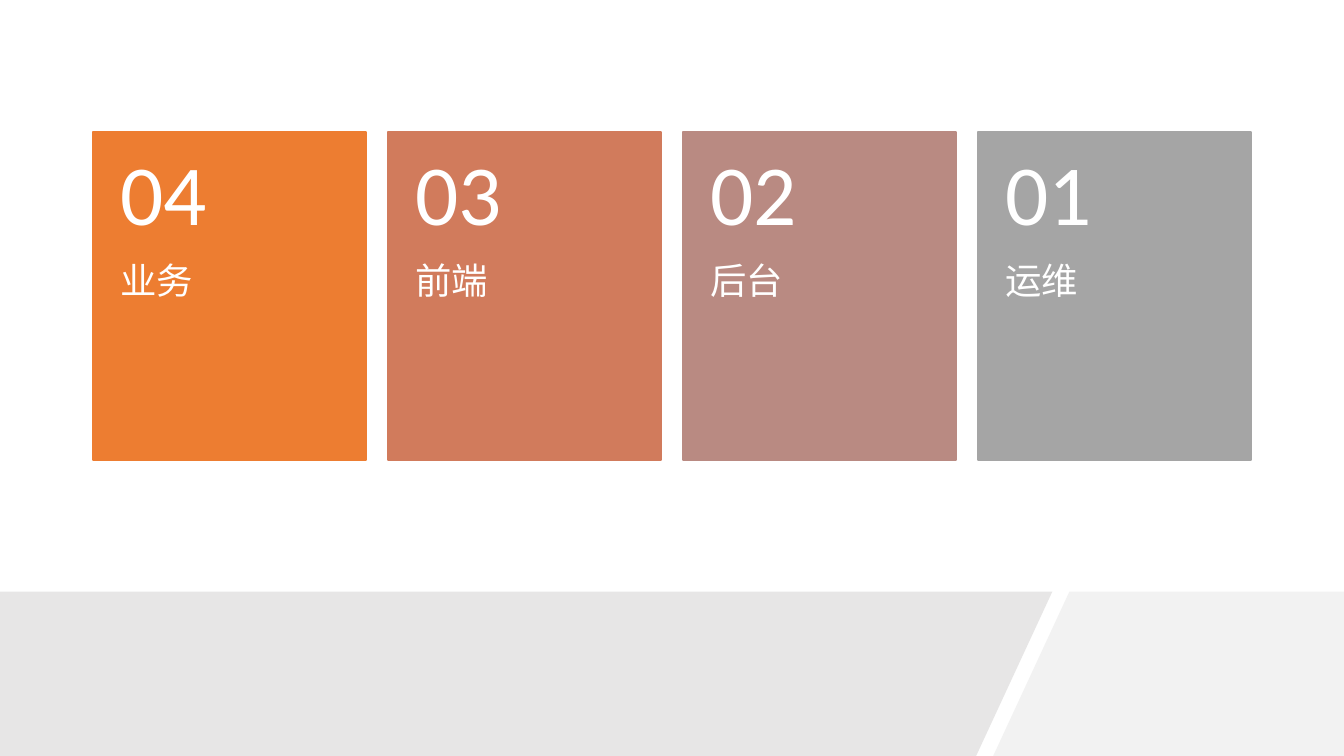
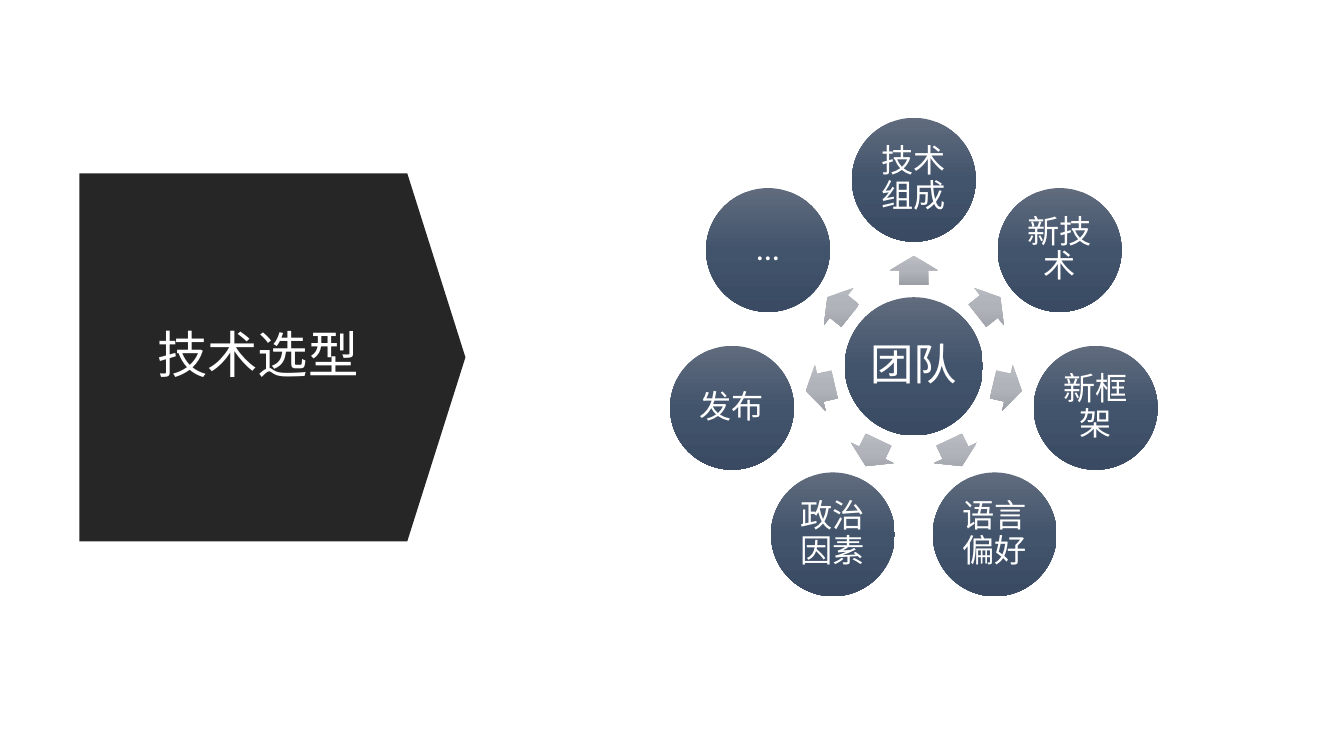
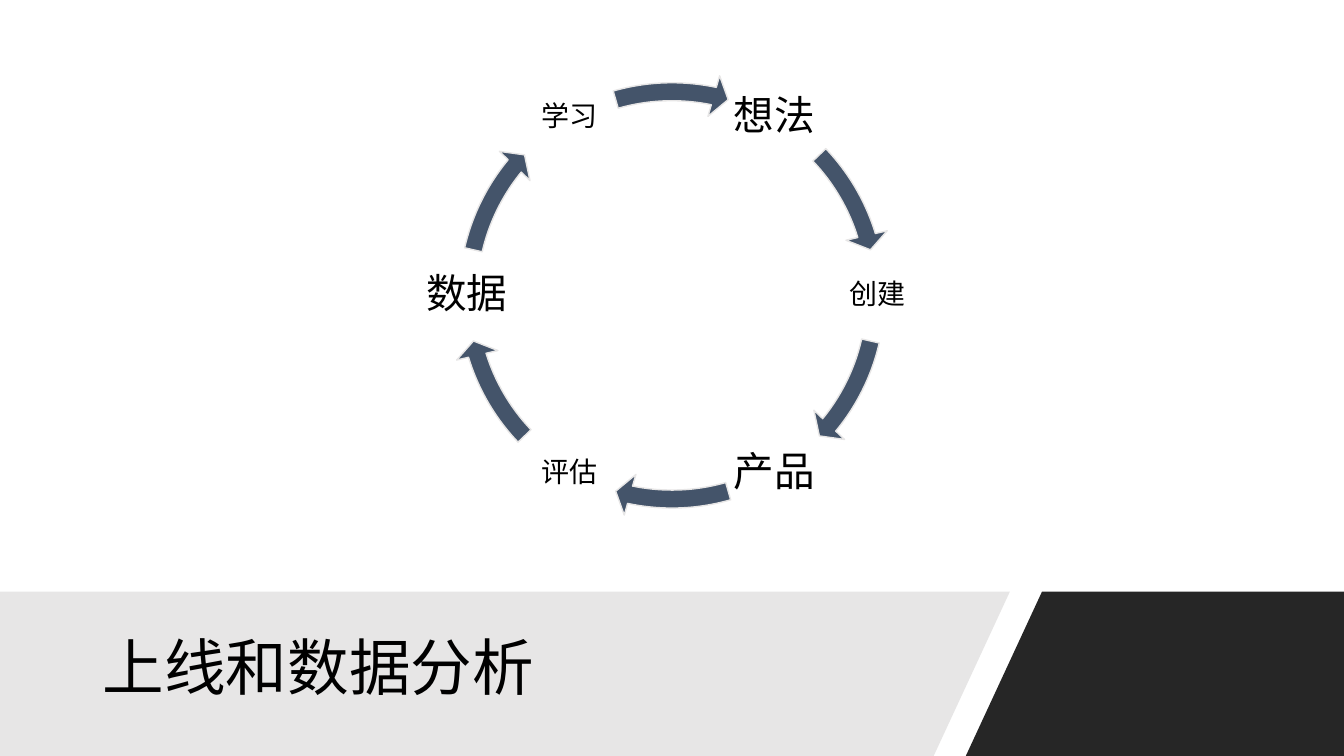
"""Build three slides on team roles, tech choice and the data cycle."""
from math import cos, radians, sin

from pptx import Presentation
from pptx.dml.color import RGBColor
from pptx.enum.shapes import MSO_SHAPE
from pptx.enum.text import MSO_ANCHOR, PP_ALIGN
from pptx.oxml import parse_xml
from pptx.oxml.ns import nsdecls
from pptx.util import Cm, Pt

RECT, OVAL = MSO_SHAPE.RECTANGLE, MSO_SHAPE.OVAL
ARROW, CURVE, PLATE = MSO_SHAPE.RIGHT_ARROW, MSO_SHAPE.CIRCULAR_ARROW, MSO_SHAPE.PENTAGON
LEFT, MID = PP_ALIGN.LEFT, PP_ALIGN.CENTER
TOP, CENTER = MSO_ANCHOR.TOP, MSO_ANCHOR.MIDDLE

FONT = "Calibri"
WIDE, HIGH = 33.87, 19.05
BAND_TOP, SLANT = 14.91, 1.92
INSET = (0.25, 0.13, 0.25, 0.13)
COLORS = {
    "white": "FFFFFF", "black": "000000", "dark": "262626",
    "band": "E7E6E6", "pale": "F2F2F2", "slate": "44546A",
    "orange": "ED7D31", "clay": "D17B5C", "rose": "B98A82", "gray": "A5A5A5",
}
FADES = {
    "disc": ("606B7D", "42546C", "394A62"),
    "arrow": ("BABDC2", "B0B3BA", "9C9FA6"),
}
CARDS = [("04", "业务", "orange"), ("03", "前端", "clay"),
         ("02", "后台", "rose"), ("01", "运维", "gray")]
TOPICS = ["技术组成", "新技术", "新框架", "语言偏好", "政治因素", "发布", "..."]
STEPS = [("想法", 29), ("创建", 20), ("产品", 29),
         ("评估", 20), ("数据", 29), ("学习", 20)]
ARCS = [(316.37, 342.9), (12.93, 39.46), (73.97, 101.86)]


def color(name):
    """Return the named colour."""
    return RGBColor.from_string(COLORS[name])


def lengths(box):
    """Turn centimetres into slide lengths."""
    return [Cm(n) for n in box]


def square(x, y, size):
    """Return the square box around a centre."""
    return x - size / 2, y - size / 2, size, size


def orbit(x, y, radius, angle):
    """Return the point on a circle, clockwise from the right."""
    turn = radians(angle)
    return x + radius * cos(turn), y + radius * sin(turn)


def write(shape, text, size, tone, align=MID, anchor=CENTER, inset=INSET):
    """Set one line of text in a shape."""
    frame = shape.text_frame
    frame.word_wrap = True
    frame.vertical_anchor = anchor
    (frame.margin_left, frame.margin_top,
     frame.margin_right, frame.margin_bottom) = lengths(inset)
    para = frame.paragraphs[0]
    para.alignment = align
    para.line_spacing = 0.9
    run = para.add_run()
    run.text = text
    run.font.name = FONT
    run.font.size = Pt(size)
    run.font.color.rgb = color(tone)


def label(slide, box, *args, **style):
    """Add a text box."""
    write(slide.shapes.add_textbox(*lengths(box)), *args, **style)


def paint(shape, fill, line=None):
    """Give a shape a flat fill and an optional outline."""
    shape.shadow.inherit = False
    shape.fill.solid()
    shape.fill.fore_color.rgb = color(fill)
    if line:
        shape.line.color.rgb = color(line)
        shape.line.width = Pt(1)
    else:
        shape.line.fill.background()


def fade(shape, name):
    """Give a shape a fill that runs from top to bottom."""
    shape.shadow.inherit = False
    shape.line.fill.background()
    stops = "".join(
        f'<a:gs pos="{i * 50000}"><a:srgbClr val="{tone}"/></a:gs>'
        for i, tone in enumerate(FADES[name]))
    shape._element.spPr.insert(2, parse_xml(
        f'<a:gradFill {nsdecls("a")} rotWithShape="0"><a:gsLst>{stops}</a:gsLst>'
        '<a:lin ang="5400000" scaled="0"/></a:gradFill>'))


def outline(slide, points, fill):
    """Draw a closed outline."""
    start, *rest = [lengths(point) for point in points]
    form = slide.shapes.build_freeform(*start)
    form.add_line_segments(rest, close=True)
    paint(form.convert_to_shape(), fill)


def bands(slide, edge, gap, tone):
    """Draw the two slanted bands at the foot."""
    begin = edge + gap
    outline(slide, [(begin, BAND_TOP), (WIDE, BAND_TOP), (WIDE, HIGH),
                    (begin - SLANT, HIGH)], tone)
    outline(slide, [(0, BAND_TOP), (edge, BAND_TOP),
                    (edge - SLANT, HIGH), (0, HIGH)], "band")


def card(slide, box, number, text, tone):
    """Draw a card with a number above its name."""
    x, y, w, h = box
    head = 0.4 * h
    paint(slide.shapes.add_shape(RECT, *lengths(box)), tone, tone)
    label(slide, (x, y + head, w, h - head), text, 26, "white",
          align=LEFT, anchor=TOP, inset=(0.69, 0, 0.69, 0.91))
    label(slide, (x, y, w, head), number, 61, "white",
          align=LEFT, inset=(0.69, 0.46, 0.69, 0.46))


def cards(slide, box, gap):
    """Place the cards in a row."""
    x, y, w, h = box
    width = (w - gap * (len(CARDS) - 1)) / len(CARDS)
    for i, item in enumerate(CARDS):
        card(slide, (x + i * (width + gap), y, width, h), *item)


def plate(slide, box, text):
    """Draw the pointed title plate."""
    x, y, w, h = box
    shape = slide.shapes.add_shape(PLATE, *lengths(box))
    shape.adjustments[0] = 0.158
    paint(shape, "dark")
    label(slide, (x + 0.84, y + 1.09, 7.32, h - 2.18), text, 36, "white")


def disc(slide, spot, size, text, points, inset):
    """Draw a round node."""
    shape = slide.shapes.add_shape(OVAL, *lengths(square(*spot, size)))
    fade(shape, "disc")
    write(shape, text, points, "white", inset=(inset,) * 4)


def wheel(slide, box):
    """Draw the hub with its ring of topics."""
    x, y, w, h = box
    hub = x + w / 2, y + h / 2
    disc(slide, hub, 3.48, "团队", 31, 0.1)
    for i, text in enumerate(TOPICS):
        angle = i * 360 / len(TOPICS) - 90
        mx, my = orbit(*hub, 2.42, angle)
        arrow = slide.shapes.add_shape(
            ARROW, *lengths((mx - 0.37, my - 0.6, 0.74, 1.2)))
        arrow.adjustments[0] = 0.6
        arrow.rotation = angle % 360
        fade(arrow, "arrow")
        disc(slide, orbit(*hub, 4.7, angle), 3.12, text, 23, 0.08)


def cycle(slide, box):
    """Draw the steps with curved arrows between them."""
    x, y, w, h = box
    hub = x + w / 2, y + h / 2
    for i, (text, size) in enumerate(STEPS):
        spot = orbit(*hub, 5.17, i * 60 - 60)
        label(slide, square(*spot, 2.31), text, size, "black", inset=(0.1,) * 4)
        half, arc = divmod(i, len(ARCS))
        start, end = [(angle + 180 * half) % 360 for angle in ARCS[arc]]
        arrow = slide.shapes.add_shape(CURVE, *lengths(box))
        for k, value in enumerate((0.04, 2.5, end * 0.6, start * 0.6, 0.047)):
            arrow.adjustments[k] = value
        paint(arrow, "slate", "band")


def main():
    """Build and save the slides."""
    deck = Presentation()
    deck.slide_width, deck.slide_height = Cm(WIDE), Cm(HIGH)
    roles, choice, data = [
        deck.slides.add_slide(deck.slide_layouts[6]) for _ in range(3)]

    bands(roles, 26.52, 0.43, "pale")
    cards(roles, (2.34, 3.33, 29.19, 8.26), 0.55)

    plate(choice, (2.0, 4.37, 9.73, 9.27), "技术选型")
    wheel(choice, (16.77, 2.97, 12.52, 12.52))

    bands(data, 25.45, 0.81, "dark")
    label(data, (2.34, 15.37, 21.44, 3.05), "上线和数据分析", 44, "black", align=LEFT)
    cycle(data, (11.27, 1.78, 11.33, 11.33))
    deck.save("out.pptx")


if __name__ == "__main__":
    main()
